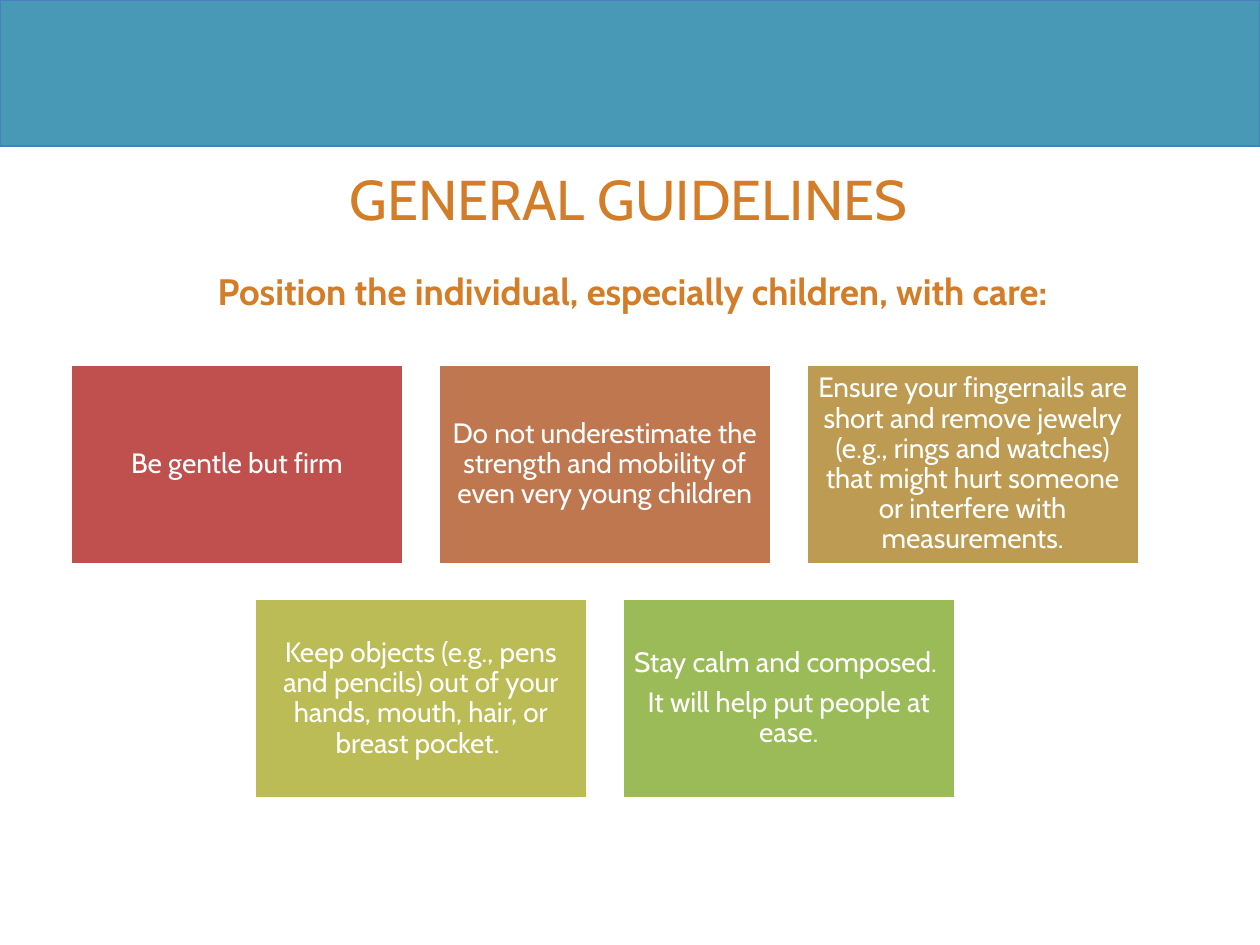
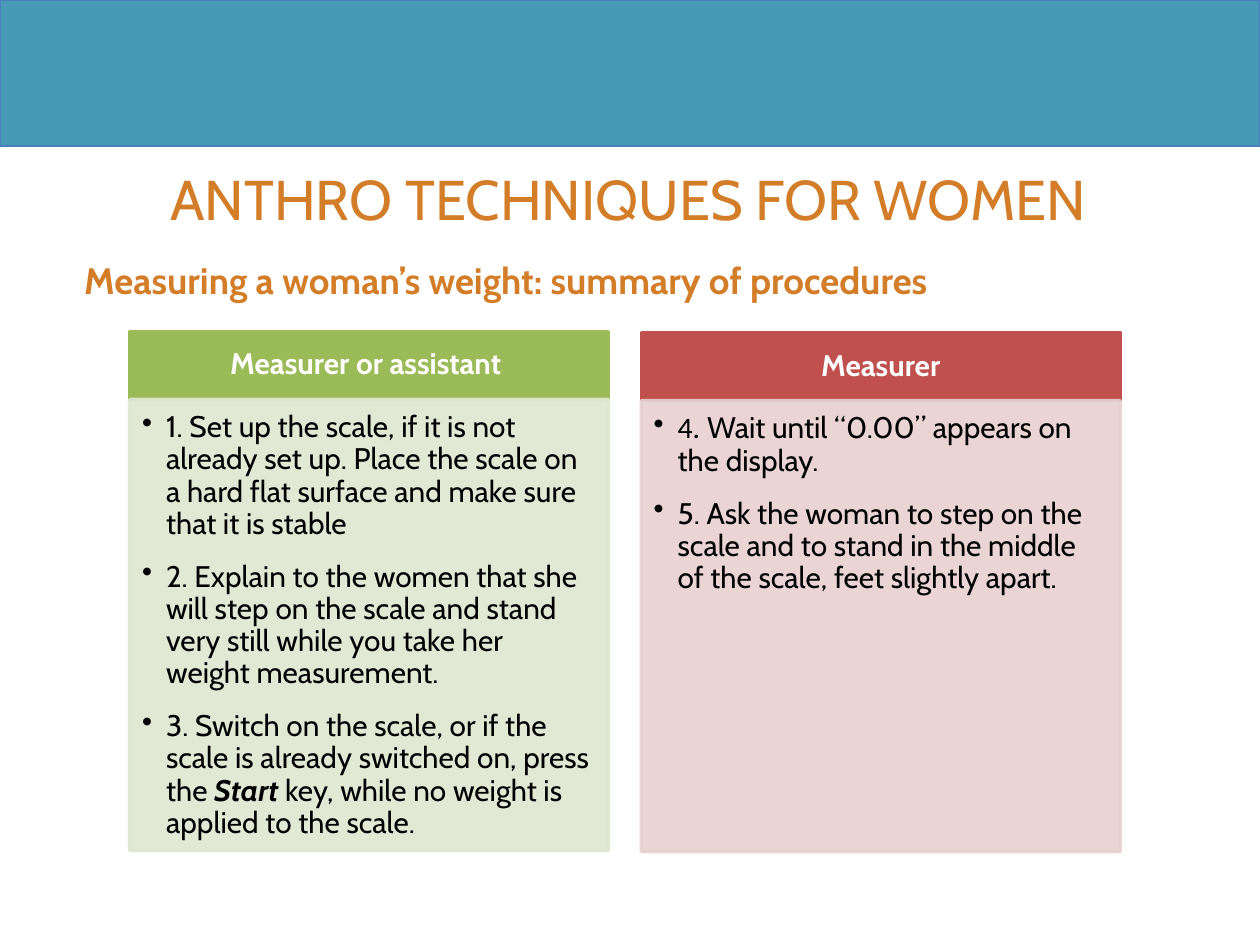
from lxml import etree
from pptx import Presentation
from pptx.dml.color import RGBColor
from pptx.enum.shapes import MSO_SHAPE
from pptx.enum.text import MSO_ANCHOR, PP_ALIGN
from pptx.oxml.ns import qn
from pptx.util import Inches, Pt

RECTANGLE = MSO_SHAPE.RECTANGLE
TOP, MIDDLE = MSO_ANCHOR.TOP, MSO_ANCHOR.MIDDLE
LEFT, CENTER = PP_ALIGN.LEFT, PP_ALIGN.CENTER

WHITE = RGBColor(0xFF, 0xFF, 0xFF)
BLACK = RGBColor(0x00, 0x00, 0x00)
TEAL = RGBColor(0x47, 0x99, 0xB5)
BLUE = RGBColor(0x4B, 0x7E, 0xBC)
ORANGE = RGBColor(0xD3, 0x7D, 0x28)
RED = RGBColor(0xC0, 0x50, 0x4D)
RUST = RGBColor(0xBF, 0x77, 0x50)
SAND = RGBColor(0xBD, 0x9B, 0x53)
OLIVE = RGBColor(0xBC, 0xBC, 0x56)
GREEN = RGBColor(0x9B, 0xBB, 0x59)
PALE_RED = RGBColor(0xE8, 0xD0, 0xD0)
PALE_GREEN = RGBColor(0xDE, 0xE7, 0xD1)

FONT = "Cabin"
NUMBER_FONT = "Calibri"

GUIDELINE_ROWS = [
    [
        (RED, ["Be gentle but firm"]),
        (RUST, ["Do not underestimate the strength and mobility of even very "
                "young children"]),
        (SAND, ["Ensure your fingernails are short and remove jewelry (e.g., "
                "rings and watches) that might hurt someone or interfere with "
                "measurements."]),
    ],
    [
        (OLIVE, ["Keep objects (e.g., pens and pencils) out of your hands, "
                 "mouth, hair, or breast pocket. "]),
        (GREEN, ["Stay calm and composed. ", "It will help put people at ease."]),
    ],
]

# A step is a list of spans: text, and the font settings that differ.
PROCEDURE_COLUMNS = [
    {
        "heading": "Measurer or assistant ", "left": 1.03, "top": 2.63,
        "color": GREEN, "pale": PALE_GREEN,
        "steps": [
            [("1. Set up the scale, if it is not already set up. Place the scale "
              "on a hard flat surface and make sure that it is stable", {})],
            [("2. Explain to the women that she will step on the scale and stand "
              "very still while you take her weight measurement.", {})],
            [("3. Switch on the scale, or if the scale is already switched on, "
              "press the ", {}),
             ("Start", {"bold": True, "italic": True}),
             (" key, while no weight is applied to the scale.", {})],
        ],
    },
    {
        "heading": "Measurer", "left": 5.09, "top": 2.64,
        "color": RED, "pale": PALE_RED,
        "steps": [
            [("4. ", {"name": NUMBER_FONT}),
             ("Wait until “0.00” appears on the display.", {})],
            [("5. Ask the woman to step on the scale and to stand in the middle "
              "of the scale, feet slightly apart.", {})],
        ],
    },
]

CARD_WIDTH, CARD_HEIGHT, CARD_GAP = 2.65, 1.59, 0.27
CARDS_CENTER, CARDS_TOP = 4.8, 2.89
COLUMN_WIDTH, HEADING_HEIGHT, STEPS_HEIGHT = 3.8, 0.54, 3.58
STEP_INDENT = 0.19


def add_rectangle(slide, left, top, width, height, fill, line, line_width=2):
    box = slide.shapes.add_shape(
        RECTANGLE, Inches(left), Inches(top), Inches(width), Inches(height))
    box.shadow.inherit = False
    box.fill.solid()
    box.fill.fore_color.rgb = fill
    box.line.color.rgb = line
    box.line.width = Pt(line_width)
    return box


def write(box, paragraphs, size, color, bold=False, align=CENTER, anchor=TOP,
          insets=(0.1, 0.05, 0.1, 0.05), line_spacing=None, space_after=0):
    """Fill a box with paragraphs, each a string or a list of spans."""
    frame = box.text_frame
    frame.word_wrap = True
    frame.vertical_anchor = anchor
    (frame.margin_left, frame.margin_top,
     frame.margin_right, frame.margin_bottom) = map(Inches, insets)
    for index, content in enumerate(paragraphs):
        para = frame.add_paragraph() if index else frame.paragraphs[0]
        para.alignment = align
        para.line_spacing = line_spacing
        para.space_after = Pt(space_after)
        spans = [(content, {})] if isinstance(content, str) else content
        for text, changes in spans:
            span = para.add_run()
            span.text = text
            font = span.font
            font.name, font.size, font.bold = FONT, Pt(size), bold
            font.color.rgb = color
            for setting, value in changes.items():
                setattr(font, setting, value)


def add_bullet(para):
    properties = para._p.get_or_add_pPr()
    properties.set("marL", str(Inches(STEP_INDENT)))
    properties.set("indent", str(-Inches(STEP_INDENT)))
    etree.SubElement(properties, qn("a:buChar")).set("char", "•")


def make_translucent(box, percent):
    for color in box._element.spPr.iter(qn("a:srgbClr")):
        etree.SubElement(color, qn("a:alpha")).set("val", str(percent * 1000))


def add_text_box(slide, left, top, width, height):
    return slide.shapes.add_textbox(
        Inches(left), Inches(top), Inches(width), Inches(height))


def add_page(deck, title, subtitle, subtitle_left, subtitle_top, subtitle_align):
    """Add a slide with the top band, the title and the subtitle."""
    page = deck.slides.add_slide(deck.slide_layouts[6])
    add_rectangle(page, 0, 0, 10, 1.16, TEAL, BLUE, 0.75)
    write(add_text_box(page, 0.49, 1.26, 9, 0.65), [title], 32, ORANGE,
          insets=(0.1, 0.05, 0.1, 0))
    write(add_text_box(page, subtitle_left, subtitle_top, 8.92, 0.49),
          [subtitle], 21, ORANGE, bold=True, align=subtitle_align)
    return page


def add_guideline_cards(page):
    for row_index, row in enumerate(GUIDELINE_ROWS):
        row_width = len(row) * (CARD_WIDTH + CARD_GAP) - CARD_GAP
        top = CARDS_TOP + row_index * (CARD_HEIGHT + CARD_GAP)
        for index, (color, paragraphs) in enumerate(row):
            left = CARDS_CENTER - row_width / 2 + index * (CARD_WIDTH + CARD_GAP)
            card = add_rectangle(page, left, top, CARD_WIDTH, CARD_HEIGHT,
                                 color, WHITE)
            write(card, paragraphs, 16, WHITE, anchor=MIDDLE, insets=(0.07,) * 4,
                  line_spacing=0.9, space_after=5.6)


def add_procedure_column(page, column):
    left, top = column["left"], column["top"]
    heading = add_rectangle(page, left, top, COLUMN_WIDTH, HEADING_HEIGHT,
                            column["color"], column["color"])
    write(heading, [column["heading"]], 17, WHITE, bold=True, anchor=MIDDLE,
          insets=(0.13, 0.08, 0.13, 0.08), line_spacing=0.9, space_after=6)
    steps = add_rectangle(page, left, top + HEADING_HEIGHT, COLUMN_WIDTH,
                          STEPS_HEIGHT, column["pale"], column["pale"])
    make_translucent(steps, 90)
    write(steps, column["steps"], 17, BLACK, align=LEFT,
          insets=(0.1, 0.1, 0.13, 0.15), line_spacing=0.9, space_after=12)
    for para in steps.text_frame.paragraphs:
        add_bullet(para)


def main():
    deck = Presentation()
    deck.slide_width, deck.slide_height = Inches(10), Inches(7.5)

    guidelines = add_page(
        deck, "GENERAL GUIDELINES",
        "Position the individual, especially children, with care:",
        0.56, 2.08, CENTER)
    add_guideline_cards(guidelines)

    procedures = add_page(
        deck, "ANTHRO TECHNIQUES FOR WOMEN",
        "Measuring a woman’s weight: summary of procedures", 0.57, 2, LEFT)
    for column in PROCEDURE_COLUMNS:
        add_procedure_column(procedures, column)

    deck.save("out.pptx")


if __name__ == "__main__":
    main()
